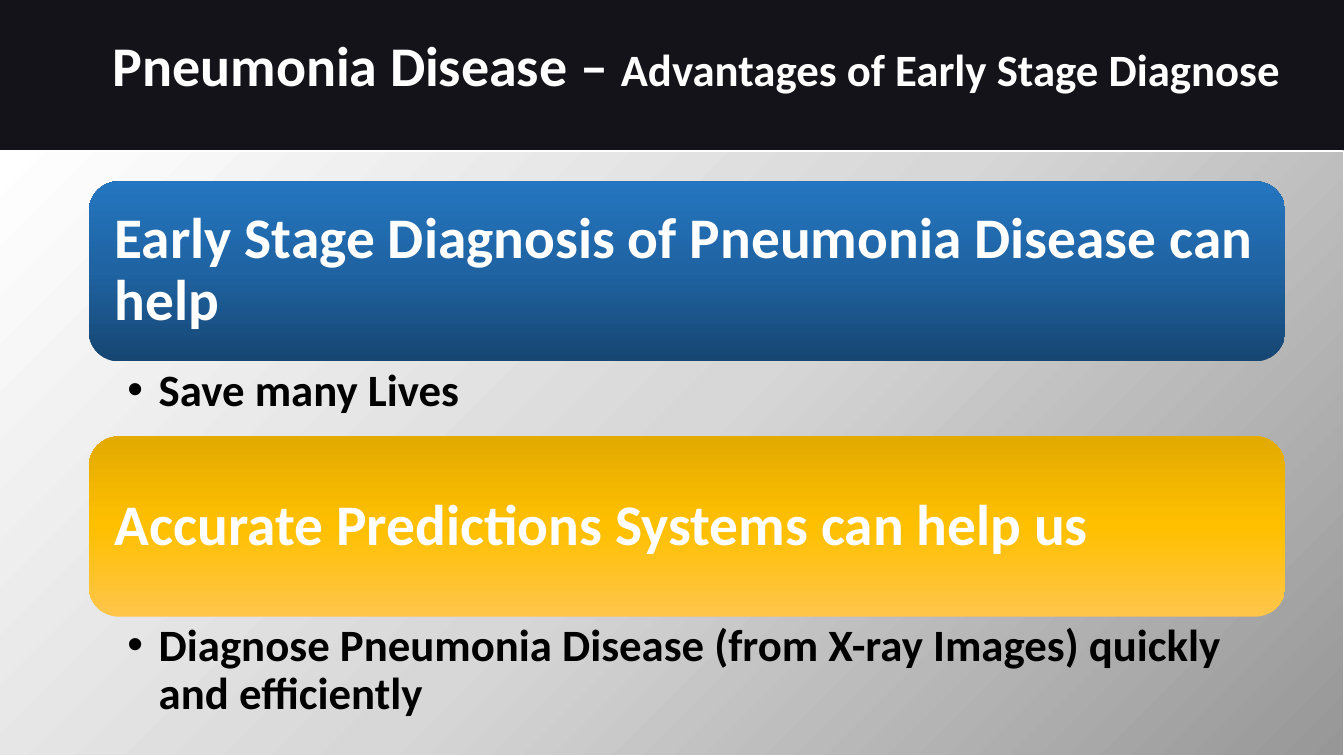
"""Build the slide on the advantages of diagnosing pneumonia early."""
from dataclasses import dataclass

from lxml import etree
from pptx import Presentation
from pptx.dml.color import RGBColor
from pptx.enum import shapes, text
from pptx.oxml import parse_xml
from pptx.oxml import ns
from pptx.util import Cm, Pt


@dataclass(frozen=True)
class Theme:
    """Colours, font and type sizes of the slide."""
    font: str = "Calibri"
    base: str = "524E67"
    shade: str = "000000"
    light: str = "FFFFFF"
    dark: str = "000000"
    silver: tuple = ("979797", "D7D7D7", "FFFFFF")
    blue: tuple = ("164672", "1F63A2", "2476C0")
    amber: tuple = ("FFC54B", "FFC000", "E3AA00")
    title_size: int = 40
    subtitle_size: int = 32
    card_size: int = 41
    bullet_size: int = 32


THEME = Theme()
LINEAR = '<a:lin ang="16200000" scaled="0"/>'
CORNER = '<a:path path="circle"><a:fillToRect l="100000" t="100000"/></a:path>'
SLIDE_WIDTH, SLIDE_HEIGHT = Cm(33.87), Cm(19.05)
COLUMN_LEFT, COLUMN_WIDTH = Cm(2.24), Cm(30.15)
CARD_HEIGHT = Cm(4.54)


def add_run(paragraph, wording, size, color):
    """Add one bold run in the slide's font."""
    run = paragraph.add_run()
    run.text = wording
    run.font.name = THEME.font
    run.font.size = Pt(size)
    run.font.bold = True
    run.font.color.rgb = RGBColor.from_string(color)


def place(item, left, top, width, height):
    """Move and size an element."""
    item.left, item.top, item.width, item.height = left, top, width, height


def set_frame(frame, anchor, left, top, right, bottom):
    """Set wrapping, anchor and insets of a text frame."""
    frame.word_wrap = True
    frame.auto_size = text.MSO_AUTO_SIZE.NONE
    frame.vertical_anchor = anchor
    frame.margin_left, frame.margin_top = left, top
    frame.margin_right, frame.margin_bottom = right, bottom


def set_gradient(block, colors, direction):
    """Fill a shape with evenly spaced gradient stops."""
    block.fill.gradient()
    step = 100000 // (len(colors) - 1)
    stops = "".join(
        f'<a:gs pos="{i * step}"><a:srgbClr val="{color}"/></a:gs>'
        for i, color in enumerate(colors))
    properties = block._element.spPr
    properties.replace(
        properties.find(ns.qn("a:gradFill")),
        parse_xml(f'<a:gradFill {ns.nsdecls("a")} rotWithShape="1">'
                  f'<a:gsLst>{stops}</a:gsLst>{direction}</a:gradFill>'))


def add_block(slide, kind, left, top, width, height):
    """Add a shape without shadow or outline."""
    block = slide.shapes.add_shape(kind, left, top, width, height)
    block.shadow.inherit = False
    block.line.fill.background()
    return block


def send_to_back(slide, block):
    """Put a shape behind everything else."""
    slide.shapes._spTree.insert(2, block._element)


def add_panel(slide):
    """Add the silver panel below the title."""
    panel = add_block(slide, shapes.MSO_SHAPE.RECTANGLE,
                      Cm(-0.05), Cm(3.81), Cm(33.91), Cm(15.24))
    set_gradient(panel, THEME.silver, CORNER)
    panel.line.color.rgb = RGBColor.from_string(THEME.light)
    panel.line.width = Pt(1)
    send_to_back(slide, panel)


def add_backdrop(slide):
    """Colour the background and darken it with a translucent layer."""
    background = slide.background.fill
    background.solid()
    background.fore_color.rgb = RGBColor.from_string(THEME.base)
    shade = add_block(slide, shapes.MSO_SHAPE.RECTANGLE,
                      0, 0, SLIDE_WIDTH, SLIDE_HEIGHT)
    shade.fill.solid()
    shade.fill.fore_color.rgb = RGBColor.from_string(THEME.shade)
    color = shade._element.spPr.find(".//" + ns.qn("a:srgbClr"))
    etree.SubElement(color, ns.qn("a:alpha"), val="75000")
    send_to_back(slide, shade)


def write_title(title, topic, aspect):
    """Write the title in two sizes."""
    place(title, Cm(1.83), Cm(0.64), Cm(31.45), Cm(1.96))
    set_frame(title.text_frame, text.MSO_ANCHOR.TOP,
              Cm(0.25), Cm(0.13), Cm(0.25), Cm(0.13))
    heading = title.text_frame.paragraphs[0]
    heading.alignment = text.PP_ALIGN.CENTER
    add_run(heading, topic, THEME.title_size, THEME.light)
    add_run(heading, aspect, THEME.subtitle_size, THEME.light)


def add_card(slide, top, wording, colors):
    """Add a rounded card with a statement."""
    card = add_block(slide, shapes.MSO_SHAPE.ROUNDED_RECTANGLE,
                     COLUMN_LEFT, top, COLUMN_WIDTH, CARD_HEIGHT)
    set_gradient(card, colors, LINEAR)
    set_frame(card.text_frame, text.MSO_ANCHOR.MIDDLE, *[Cm(0.43)] * 4)
    statement = card.text_frame.paragraphs[0]
    statement.alignment = text.PP_ALIGN.LEFT
    statement.line_spacing = 0.9
    add_run(statement, wording, THEME.card_size, THEME.light)


def write_bullet(body, top, height, wording):
    """Write the bulleted benefit below a card."""
    place(body, COLUMN_LEFT, top, COLUMN_WIDTH, height)
    set_frame(body.text_frame, text.MSO_ANCHOR.TOP,
              Cm(0.97), Cm(0.15), Cm(0.81), Cm(0.15))
    benefit = body.text_frame.paragraphs[0]
    benefit.line_spacing = 0.9
    benefit.space_before = Pt(0)
    properties = benefit._p.get_or_add_pPr()
    properties.set("marL", str(Cm(0.79)))
    properties.set("indent", str(-Cm(0.79)))
    etree.SubElement(properties, ns.qn("a:buChar"), char="•")
    add_run(benefit, wording, THEME.bullet_size, THEME.dark)


def main():
    """Build and save the slide."""
    deck = Presentation()
    deck.slide_width, deck.slide_height = SLIDE_WIDTH, SLIDE_HEIGHT
    slide = deck.slides.add_slide(deck.slide_layouts[3])
    add_panel(slide)
    add_backdrop(slide)
    write_title(slide.shapes.title, "Pneumonia Disease – ",
                "Advantages of Early Stage Diagnose")
    advantages = (
        ("Early Stage Diagnosis of Pneumonia Disease can help", THEME.blue,
         "Save many Lives", Cm(1.89)),
        ("Accurate Predictions Systems can help us", THEME.amber,
         "Diagnose Pneumonia Disease (from X-ray Images) quickly"
         " and efficiently", Cm(2.77)),
    )
    top = Cm(4.57)
    for index, (statement, colors, benefit, height) in enumerate(advantages, 1):
        add_card(slide, top, statement, colors)
        write_bullet(slide.placeholders[index], top + CARD_HEIGHT, height, benefit)
        top += CARD_HEIGHT + height
    deck.save("out.pptx")


if __name__ == "__main__":
    main()
